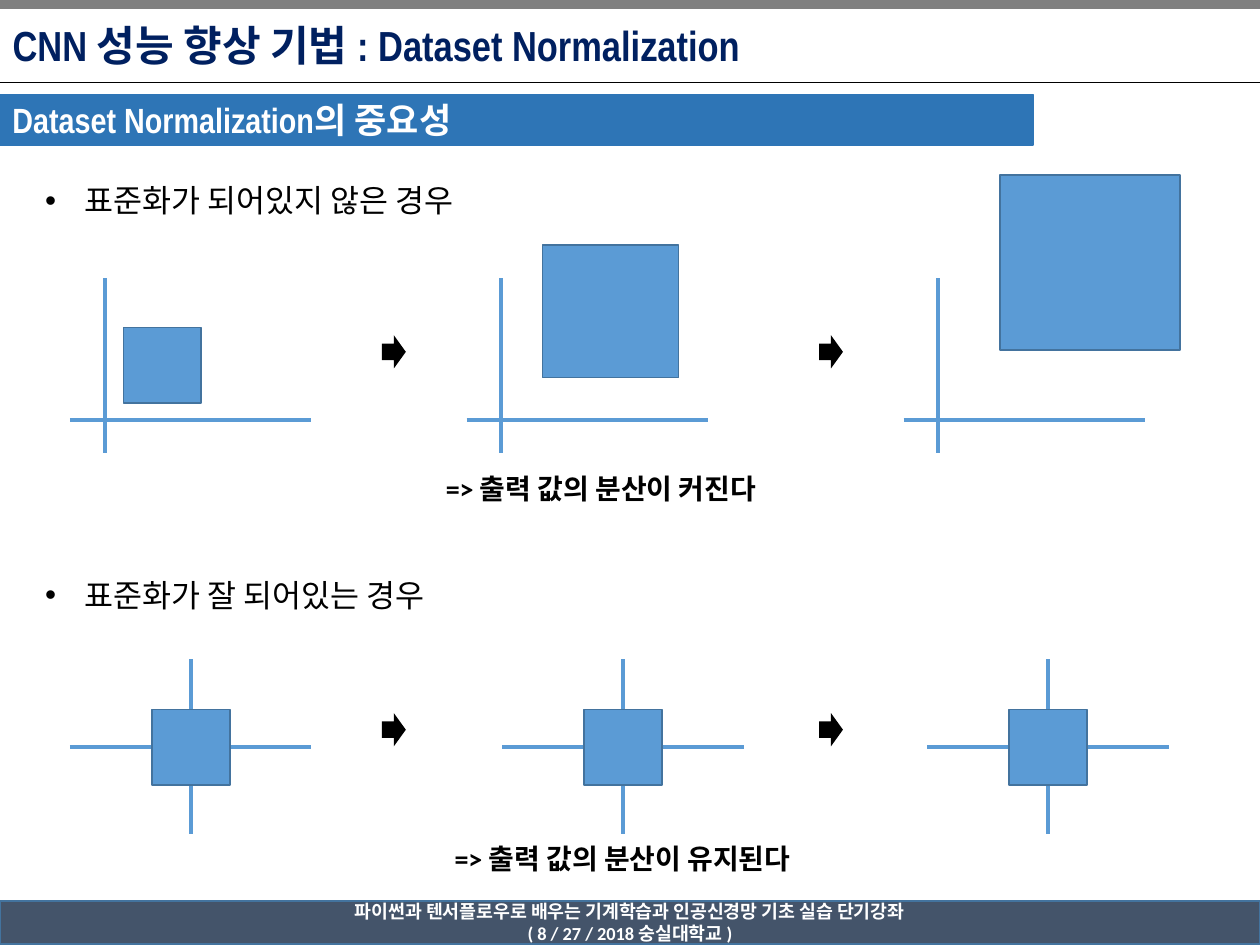
from lxml import etree
from pptx import Presentation
from pptx.dml.color import RGBColor
from pptx.enum.shapes import MSO_CONNECTOR, MSO_SHAPE
from pptx.enum.text import MSO_ANCHOR, MSO_AUTO_SIZE, PP_ALIGN
from pptx.oxml.ns import qn
from pptx.util import Pt

RECT, ARROW = MSO_SHAPE.RECTANGLE, MSO_SHAPE.RIGHT_ARROW
STRAIGHT = MSO_CONNECTOR.STRAIGHT
MIDDLE, TOP = MSO_ANCHOR.MIDDLE, MSO_ANCHOR.TOP
LEFT, CENTER = PP_ALIGN.LEFT, PP_ALIGN.CENTER
NO_FIT, GROW = MSO_AUTO_SIZE.NONE, MSO_AUTO_SIZE.SHAPE_TO_FIT_TEXT

BLACK = RGBColor(0x00, 0x00, 0x00)
WHITE = RGBColor(0xFF, 0xFF, 0xFF)
GRAY = RGBColor(0x80, 0x80, 0x80)
NAVY = RGBColor(0x00, 0x20, 0x60)
SLATE = RGBColor(0x44, 0x54, 0x6A)
BANNER_BLUE = RGBColor(0x2E, 0x75, 0xB6)
BLUE = RGBColor(0x5B, 0x9B, 0xD5)
EDGE_BLUE = RGBColor(0x43, 0x73, 0x9E)

TITLE = "CNN 성능 향상 기법 : Dataset Normalization"
SUBTITLE = "Dataset Normalization의 중요성"
FOOTER = "파이썬과 텐서플로우로 배우는 기계학습과 인공신경망 기초 실습 단기강좌\n( 8 / 27 / 2018 숭실대학교 )"

AXIS_WIDTH, AXIS_HEIGHT = 138, 100
UNIT_BOX = (44.6, 43.2)
ARROW_LEFTS = (218.2, 468)
ARROW_SIZE = (13.7, 19)

CASES = [
    {
        "heading": ("표준화가 되어있지 않은 경우", 18.7, 100.1, 268),
        "conclusion": ("=> 출력 값의 분산이 커진다", 247.7, 265.7, 206.6),
        "axis_lefts": (40, 266.6, 516.4),
        "origin_offset": 19.8,
        "axis_y": 240,
        "axis_top": 159,
        "arrow_top": 191.6,
        "boxes": [
            (70.5, 187.2, *UNIT_BOX),
            (310, 140, 77.8, 75.8),
            (571.4, 100, 102.8, 100),
        ],
    },
    {
        "heading": ("표준화가 잘 되어있는 경우", 18.7, 325.4, 250),
        "conclusion": ("=> 출력 값의 분산이 유지된다", 252.7, 477.4, 223.2),
        "axis_lefts": (40, 287, 529.8),
        "origin_offset": AXIS_WIDTH / 2,
        "axis_y": 427,
        "axis_top": 376.7,
        "arrow_top": 407.5,
        "boxes": None,
    },
]

deck = Presentation()
deck.slide_width, deck.slide_height = Pt(720), Pt(540)
slide = deck.slides.add_slide(deck.slide_layouts[5])


def add_block(preset, left, top, width, height, fill, edge=None):
    block = slide.shapes.add_shape(preset, Pt(left), Pt(top), Pt(width), Pt(height))
    block.shadow.inherit = False
    block.fill.solid()
    block.fill.fore_color.rgb = fill
    if edge is None:
        block.line.fill.background()
    else:
        block.line.color.rgb = edge
        block.line.width = Pt(1)
    return block


def add_rule(x1, y1, x2, y2, color, weight):
    rule = slide.shapes.add_connector(STRAIGHT, Pt(x1), Pt(y1), Pt(x2), Pt(y2))
    rule.line.color.rgb = color
    rule.line.width = Pt(weight)
    etree.SubElement(rule._element.spPr, qn("a:effectLst"))


def write(holder, text, size, font, color, bold=True, align=LEFT,
          anchor=MIDDLE, wrap=True, fit=NO_FIT, bullet=False):
    frame = holder.text_frame
    frame.text = text
    frame.word_wrap = wrap
    frame.auto_size = fit
    frame.vertical_anchor = anchor
    for paragraph in frame.paragraphs:
        paragraph.alignment = align
        if bullet:
            properties = paragraph._p.get_or_add_pPr()
            properties.set("marL", str(Pt(22.5)))
            properties.set("indent", str(-Pt(22.5)))
            etree.SubElement(properties, qn("a:buFont"), typeface="Arial")
            etree.SubElement(properties, qn("a:buChar"), char="•")
        for run in paragraph.runs:
            run.font.size = Pt(size)
            run.font.name = font
            run.font.bold = bold
            run.font.color.rgb = color


def add_label(text, left, top, width, size, bold, bullet):
    label = slide.shapes.add_textbox(Pt(left), Pt(top), Pt(width), Pt(size * 1.2 + 7.2))
    write(label, text, size, "Calibri", BLACK, bold, anchor=TOP,
          wrap=False, fit=GROW, bullet=bullet)


add_block(RECT, 0, 0, 720, 5, GRAY, GRAY)
add_rule(0, 47, 720, 47, BLACK, 0.5)
footer = add_block(RECT, 0, 515, 720, 24.5, SLATE, EDGE_BLUE)
write(footer, FOOTER, 10.5, "Calibri", WHITE, align=CENTER)

title = slide.shapes.title
title.left, title.top, title.width, title.height = Pt(0), Pt(2.2), Pt(562.3), Pt(46.8)
write(title, TITLE, 24, "Arial Narrow", NAVY)

banner = add_block(RECT, 0, 54, 590.4, 29, BANNER_BLUE, BANNER_BLUE)
write(banner, SUBTITLE, 20, "Arial Narrow", WHITE)

for case in CASES:
    add_label(*case["heading"], size=18, bold=False, bullet=True)
    axis_y, axis_top = case["axis_y"], case["axis_top"]
    for index, axis_left in enumerate(case["axis_lefts"]):
        origin_x = axis_left + case["origin_offset"]
        add_rule(origin_x, axis_top, origin_x, axis_top + AXIS_HEIGHT, BLUE, 2.25)
        add_rule(axis_left, axis_y, axis_left + AXIS_WIDTH, axis_y, BLUE, 2.25)
        if case["boxes"]:
            box = case["boxes"][index]
        else:
            width, height = UNIT_BOX
            box = (origin_x - width / 2, axis_y - height / 2, width, height)
        add_block(RECT, *box, BLUE, EDGE_BLUE)
    for arrow_left in ARROW_LEFTS:
        add_block(ARROW, arrow_left, case["arrow_top"], *ARROW_SIZE, BLACK)
    add_label(*case["conclusion"], size=16, bold=True, bullet=False)

deck.save("out.pptx")
